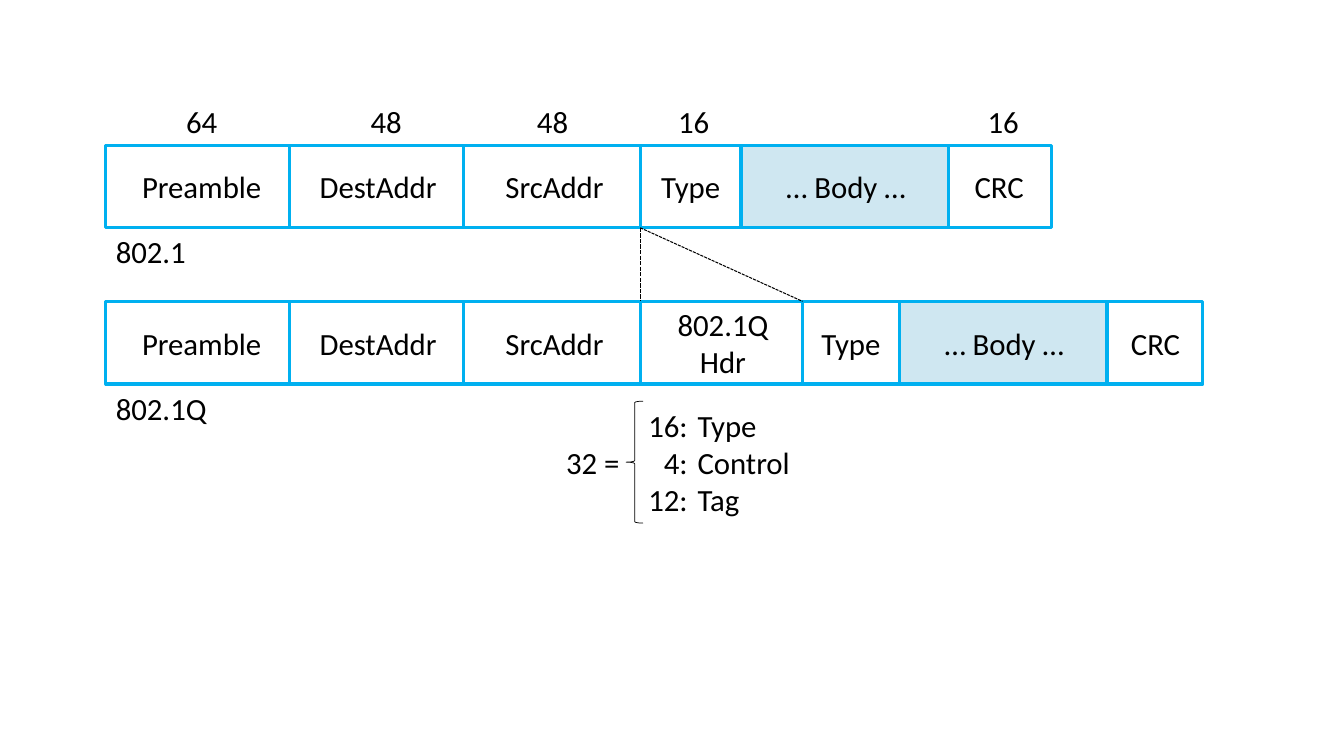
from dataclasses import dataclass

from lxml.etree import SubElement
from pptx import Presentation
from pptx.dml.color import RGBColor
from pptx.enum.dml import MSO_LINE
from pptx.enum.shapes import MSO_CONNECTOR, MSO_SHAPE
from pptx.enum.text import MSO_ANCHOR, MSO_AUTO_SIZE, PP_ALIGN
from pptx.oxml.ns import qn
from pptx.util import Inches, Pt

COLORS = {"border": "00B0F0", "body": "CFE7F1", "ink": "000000"}
FONT, FONT_SIZE = "Calibri", 22
FRAME_LEFT, FRAME_HEIGHT = 1.05, 0.82
BORDER_WIDTH = 2.25
LINE_HEIGHT, FIRST_LINE_HEIGHT = 0.37, 0.47


@dataclass(frozen=True)
class Field:
    """One field of a frame; centers are measured in inches on the slide."""
    label: str
    right: float
    center: float
    label_width: float = 1.49
    bits: str = ""
    bits_center: float = 0
    shaded: bool = False


@dataclass(frozen=True)
class Frame:
    """One frame format, drawn as a row of fields."""
    name: str
    name_width: float
    top: float
    fields: list[Field]


ADDRESS_FIELDS = [
    Field("Preamble", 2.87, 2.0, bits="64", bits_center=2.0),
    Field("DestAddr", 4.6, 3.75, bits="48", bits_center=3.83),
    Field("SrcAddr", 6.35, 5.5, bits="48", bits_center=5.48),
]
PLAIN_FRAME = Frame("802.1", 0.9, 1.44, ADDRESS_FIELDS + [
    Field("Type", 7.35, 6.85, 0.95, "16", 6.88),
    Field("… Body …", 9.41, 8.39, shaded=True),
    Field("CRC", 10.43, 9.91, 0.95, "16", 9.95),
])
TAGGED_FRAME = Frame("802.1Q", 1.11, 2.99, [
    *(Field(f.label, f.right, f.center) for f in ADDRESS_FIELDS),
    Field("802.1Q\nHdr", 7.96, 7.17),
    Field("Type", 8.92, 8.44, 0.95),
    Field("… Body …", 10.98, 9.96, shaded=True),
    Field("CRC", 11.93, 11.46, 0.95),
])


def color(key: str) -> RGBColor:
    """Look up a named colour."""
    return RGBColor.from_string(COLORS[key])


def add_text(slide, text: str, left: float, top: float, width: float,
             align=PP_ALIGN.CENTER, wrap: bool = False) -> None:
    """Add text whose box height follows from its number of lines."""
    height = FIRST_LINE_HEIGHT + text.count("\n") * LINE_HEIGHT
    box = slide.shapes.add_textbox(Inches(left), Inches(top), Inches(width), Inches(height))
    frame = box.text_frame
    frame.text = text
    frame.word_wrap = wrap
    frame.auto_size = MSO_AUTO_SIZE.SHAPE_TO_FIT_TEXT
    frame.vertical_anchor = MSO_ANCHOR.MIDDLE
    for paragraph in frame.paragraphs:
        paragraph.alignment = align
        for run in paragraph.runs:
            run.font.name = FONT
            run.font.size = Pt(FONT_SIZE)
            run.font.color.rgb = color("ink")


def add_outline(slide, preset, left: float, top: float, width: float, height: float,
                line: str, weight: float, fill: str = "") -> None:
    """Add an outlined preset shape, filled only when a fill is named."""
    shape = slide.shapes.add_shape(preset, Inches(left), Inches(top),
                                   Inches(width), Inches(height))
    shape.shadow.inherit = False
    if fill:
        shape.fill.solid()
        shape.fill.fore_color.rgb = color(fill)
    else:
        shape.fill.background()
    shape.line.color.rgb = color(line)
    shape.line.width = Pt(weight)


def add_line(slide, start: tuple[float, float], end: tuple[float, float],
             line: str, weight: float, dashed: bool = False) -> None:
    """Add a straight line without a shadow."""
    connector = slide.shapes.add_connector(
        MSO_CONNECTOR.STRAIGHT, *(Inches(value) for value in (*start, *end)))
    connector.line.color.rgb = color(line)
    connector.line.width = Pt(weight)
    if dashed:
        connector.line.dash_style = MSO_LINE.SQUARE_DOT
    SubElement(connector._element.spPr, qn("a:effectLst"))


def draw_frame(slide, frame: Frame) -> None:
    """Draw the frame outline, its fields, bit counts and name."""
    top, bottom = frame.top, frame.top + FRAME_HEIGHT
    add_outline(slide, MSO_SHAPE.RECTANGLE, FRAME_LEFT, top,
                frame.fields[-1].right - FRAME_LEFT, FRAME_HEIGHT, "border", BORDER_WIDTH)
    left = FRAME_LEFT
    for field in frame.fields:
        if field.shaded:
            add_outline(slide, MSO_SHAPE.RECTANGLE, left, top, field.right - left,
                        FRAME_HEIGHT, "border", BORDER_WIDTH, "body")
        elif field is not frame.fields[-1]:
            add_line(slide, (field.right, top), (field.right, bottom), "border", BORDER_WIDTH)
        label_height = FIRST_LINE_HEIGHT + field.label.count("\n") * LINE_HEIGHT
        add_text(slide, field.label, field.center - field.label_width / 2,
                 top + (FRAME_HEIGHT - label_height) / 2, field.label_width, wrap=True)
        if field.bits:
            add_text(slide, field.bits, field.bits_center - 0.255,
                     top - FIRST_LINE_HEIGHT, 0.51)
        left = field.right
    add_text(slide, frame.name, FRAME_LEFT, bottom, frame.name_width, PP_ALIGN.LEFT)


def draw_tag_insertion(slide) -> None:
    """Link the end of SrcAddr to both edges of the inserted header."""
    insertion = (ADDRESS_FIELDS[-1].right, PLAIN_FRAME.top + FRAME_HEIGHT)
    for field, weight in zip(TAGGED_FRAME.fields[2:4], (1, 0.75)):
        add_line(slide, insertion, (field.right, TAGGED_FRAME.top), "ink", weight, dashed=True)


def draw_header_breakdown(slide) -> None:
    """List the parts that make up the 32 header bits."""
    top = 3.98
    add_text(slide, "32 =", 5.51, top + LINE_HEIGHT, 0.74)
    add_text(slide, "16:\n4:\n12:", 6.32, top, 0.6, PP_ALIGN.RIGHT)
    add_outline(slide, MSO_SHAPE.LEFT_BRACE, 6.21, top, 0.17, 1.21, "ink", 0.5)
    add_text(slide, "Type\nControl\nTag", 6.82, top, 1.13, PP_ALIGN.LEFT)


def main() -> None:
    """Build and save the slide."""
    deck = Presentation()
    deck.slide_width, deck.slide_height = Inches(13.33), Inches(7.5)
    slide = deck.slides.add_slide(deck.slide_layouts[6])
    for frame in (PLAIN_FRAME, TAGGED_FRAME):
        draw_frame(slide, frame)
    draw_tag_insertion(slide)
    draw_header_breakdown(slide)
    deck.save("out.pptx")


main()
